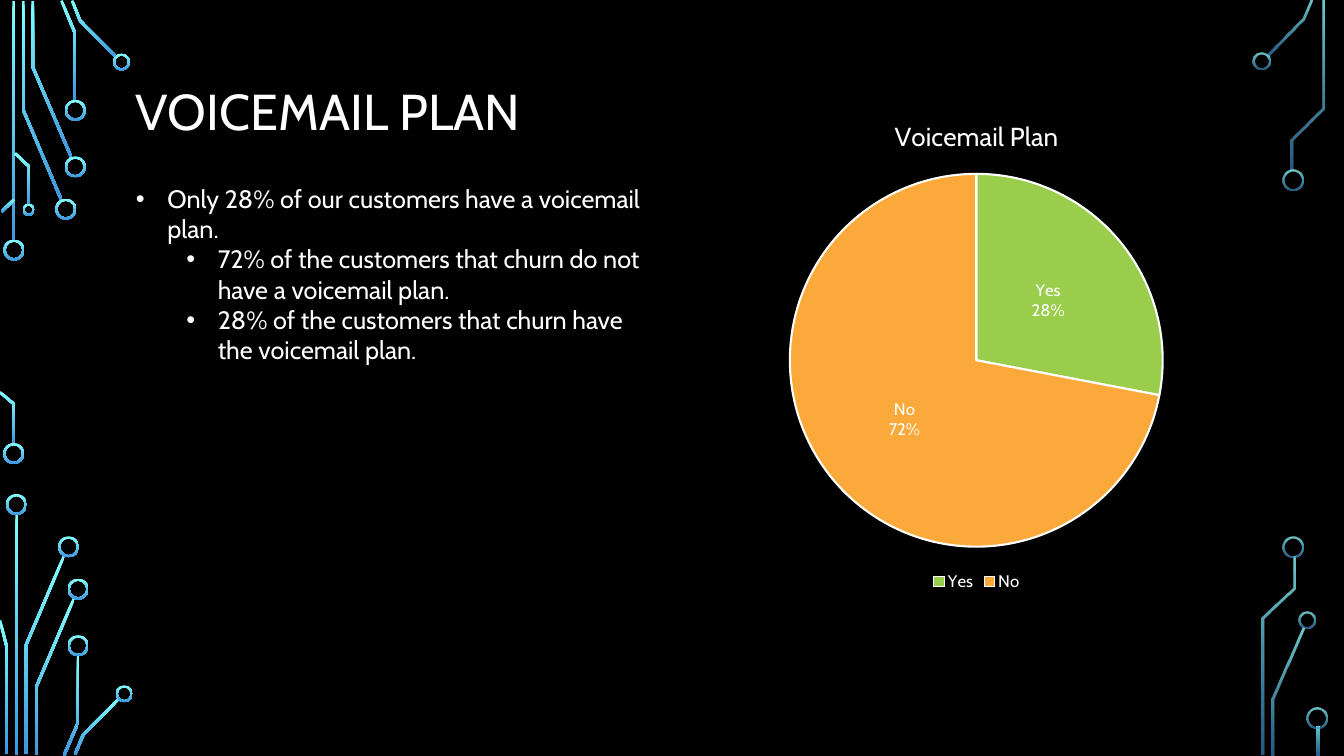
from lxml import etree
from pptx import Presentation
from pptx import util as u
from pptx.chart.data import CategoryChartData
from pptx.dml.color import RGBColor
from pptx.enum import chart as ch, shapes, text
from pptx.oxml import parse_xml
from pptx.oxml.ns import nsdecls, qn

FONT = "Cabin"
WHITE = "FFFFFF"
TRACE_WIDTH = 1.9
RING_WIDTH = 1.5

prs = Presentation()
prs.slide_width, prs.slide_height = u.Pt(960), u.Pt(540)
s = prs.slides.add_slide(prs.slide_layouts[6])
s.background.fill.solid()
s.background.fill.fore_color.rgb = RGBColor.from_string("000000")


def style(obj, color=WHITE, size=None, fade=False):
    if size:
        obj.name, obj.size, obj.bold = FONT, u.Pt(size), False
        obj.color.rgb = RGBColor.from_string(color)
        return
    obj.shadow.inherit = False
    obj.line.fill.background()
    obj.fill.gradient()
    obj.fill.gradient_angle = 270
    for stop, c, alpha in zip(obj.fill.gradient_stops, ("82FFFF", "3D97DE"), (80, 60)):
        stop.color.rgb = RGBColor.from_string(c)
        if fade:
            clr = [e for e in obj._element.iter(qn("a:srgbClr")) if e.get("val") == c][0]
            etree.SubElement(clr, qn("a:alpha")).set("val", str(alpha * 1000))


def add_text(box, paragraphs, size, anchor, spacing=1.0):
    sp = s.shapes.add_textbox(*map(u.Pt, box))
    tf = sp.text_frame
    tf.word_wrap, tf.vertical_anchor = True, anchor
    for i, (content, left) in enumerate(paragraphs):
        p = tf.paragraphs[0] if i == 0 else tf.add_paragraph()
        p.line_spacing = spacing
        r = p.add_run()
        r.text = content
        style(r.font, size=size)
        if left:
            pPr = p._p.get_or_add_pPr()
            pPr.set("marL", str(u.Pt(left)))
            pPr.set("indent", str(u.Pt(-22.5)))
            etree.SubElement(pPr, qn("a:buFont")).set("typeface", "Arial")
            etree.SubElement(pPr, qn("a:buChar")).set("char", "•")


traces = [
    [(9.7, 0.7), (9.7, 172.8)],
    [(16.6, 0.7), (16.6, 78.5), (43.9, 142.9)],
    [(23.4, 0.7), (23.4, 47.9), (51.1, 112.7)],
    [(43.9, 0.4), (53.6, 23.8), (53.6, 72)],
    [(51.5, 0.4), (57.2, 14.8), (83.2, 41)],
    [(1.1, 151.2), (10.1, 142.6)],
    [(0, 280.1), (10.1, 288.7), (10.1, 317.5)],
    [(10.8, 109.4), (20.9, 119.2), (20.9, 146.2)],
    [(11.9, 367.2), (11.9, 539.3)],
    [(18.4, 538.6), (18.4, 461.2), (45.7, 397.1)],
    [(0, 443.2), (4.7, 461.5), (4.7, 538.6)],
    [(25.6, 539.3), (25.6, 491.4), (52.9, 427.3)],
    [(45.7, 539.6), (55.8, 516.2), (55.8, 468)],
    [(53.6, 538.9), (59.4, 524.9), (85, 499)],
    [(905, 40), (930.6, 14), (936.4, 0.4)],
    [(909, 539.3), (909, 499.3), (931, 448.9)],
    [(923, 121.7), (923, 99.7), (945, 77.4), (945, 0.7)],
    [(901.8, 539.3), (901.8, 441.7), (924.1, 420.1), (924.1, 397.4)],
    [(941.4, 519.1), (941.4, 539.3)],
]
for trace in traces:
    pts = [complex(*xy) for xy in trace]
    normals = [1j * (b - a) / abs(b - a) for a, b in zip(pts, pts[1:])]
    befores, afters = normals[:1] + normals, normals + normals[-1:]
    offsets = [TRACE_WIDTH / 2 * (m + n) / (1 + (m * n.conjugate()).real)
               for m, n in zip(befores, afters)]
    outline = [z + o for z, o in zip(pts, offsets)]
    outline += [z - o for z, o in zip(pts, offsets)][::-1]
    corners = [(u.Pt(z.real), u.Pt(z.imag)) for z in outline]
    fb = s.shapes.build_freeform(*corners[0])
    fb.add_line_segments(corners[1:], close=True)
    style(fb.convert_to_shape(), fade=trace[0][0] > 480)

rings = {
    15: [(10, 178.6), (9.8, 324), (47, 149.4), (53.8, 119.2), (53.8, 78.8),
         (11.7, 360.4), (49, 390.6), (55.8, 420.8), (55.8, 461.2),
         (923.4, 128.5), (923.8, 390.6), (940.7, 512.6)],
    12.2: [(86.8, 44.3), (88.8, 495.6), (901.1, 43.6), (933.5, 443.2)],
    8.8: [(20.5, 149.8)],
}
for d, centres in rings.items():
    for x, y in centres:
        sp = s.shapes.add_shape(shapes.MSO_SHAPE.DONUT, u.Pt(x - d / 2), u.Pt(y - d / 2),
                                u.Pt(d), u.Pt(d))
        sp.adjustments[0] = RING_WIDTH / d
        style(sp, fade=x > 480)

add_text((90, 50.4, 780, 62.6), [("VOICEMAIL PLAN", 0)], 36, text.MSO_ANCHOR.MIDDLE, 0.9)
add_text((90, 127.4, 390, 160), [
    ("Only 28% of our customers have a voicemail plan.", 22.5),
    ("72% of the customers that churn do not have a voicemail plan.", 58.5),
    ("28% of the customers that churn have the voicemail plan.", 58.5),
], 18, text.MSO_ANCHOR.TOP)

data = CategoryChartData()
data.categories = ["Yes", "No"]
data.add_series("Voicemail Plan", (28, 72))
chart = s.shapes.add_chart(ch.XL_CHART_TYPE.PIE, u.Pt(447.8), u.Pt(69.8), u.Pt(499.7),
                           u.Pt(355.7), data).chart
style(chart.font, size=10)
chart.has_title = True
tf = chart.chart_title.text_frame
tf.text = "Voicemail Plan"
style(tf.paragraphs[0].runs[0].font, size=18.6)
chart.has_legend = True
chart.legend.position = ch.XL_LEGEND_POSITION.BOTTOM
chart.legend.include_in_layout = False
style(chart.legend.font, size=12)

plot = chart.plots[0]
plot.vary_by_categories = True
series = plot.series[0]
for i, color in enumerate(("9ACD4C", "FAA93A")):
    fmt = series.points[i].format
    fmt.fill.solid()
    fmt.fill.fore_color.rgb = RGBColor.from_string(color)
    fmt.line.color.rgb = RGBColor.from_string(WHITE)
    fmt.line.width = u.Pt(1.5)

labels = series.data_labels
labels.show_category_name = labels.show_percentage = True
labels.show_value = False
labels.position = ch.XL_LABEL_POSITION.CENTER
style(labels.font, size=12)
sep = parse_xml(f"<c:separator {nsdecls('c')}>\n</c:separator>")
labels._element.find(qn("c:showBubbleSize")).addnext(sep)

area = chart._chartSpace.find(".//" + qn("c:plotArea"))
for old in area.findall(qn("c:layout")):
    area.remove(old)
layout = etree.Element(qn("c:layout"))
manual = etree.SubElement(layout, qn("c:manualLayout"))
for tag, val in (("layoutTarget", "inner"), ("xMode", "edge"), ("yMode", "edge"),
                 ("x", "0.233"), ("y", "0.153"), ("w", "0.533"), ("h", "0.749")):
    etree.SubElement(manual, qn("c:" + tag)).set("val", val)
area.insert(0, layout)

prs.save("out.pptx")
